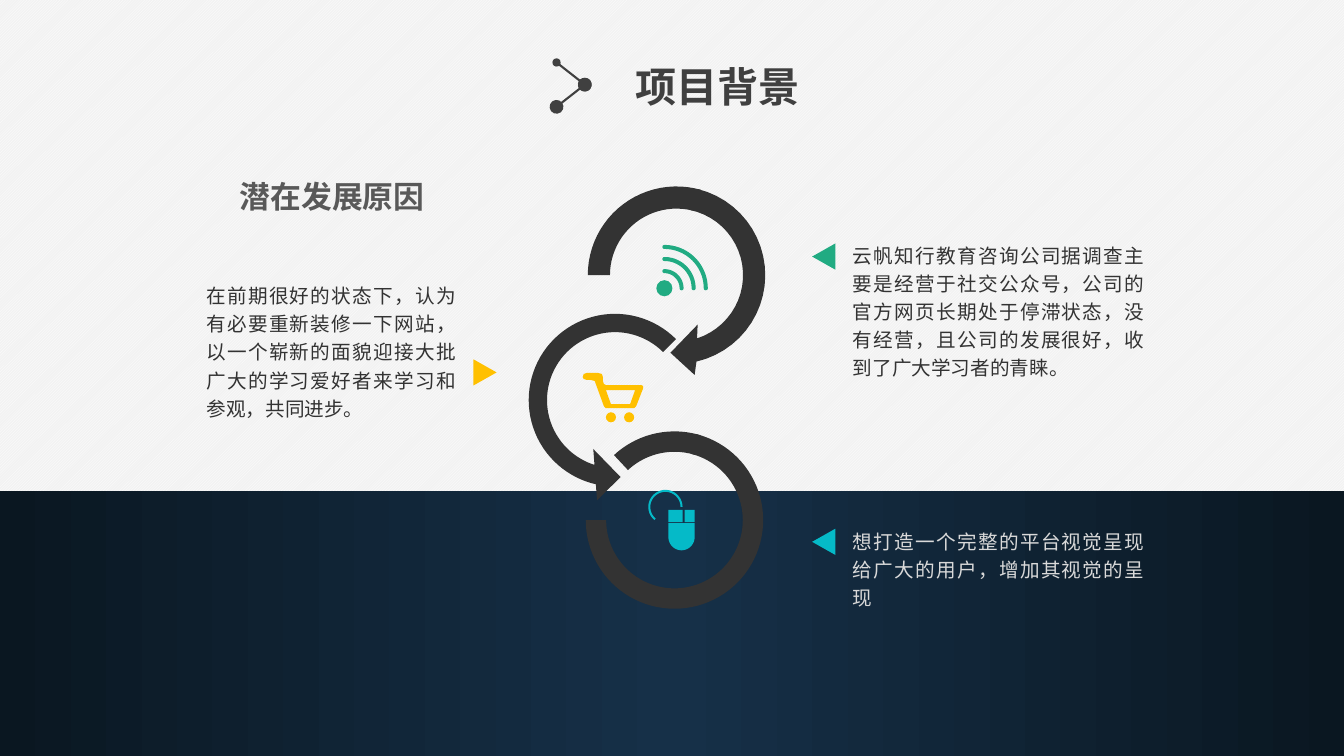
from math import cos, radians, sin

from lxml.etree import SubElement
from pptx import Presentation
from pptx.dml.color import RGBColor
from pptx.enum.dml import MSO_PATTERN
from pptx.enum.lang import MSO_LANGUAGE_ID
from pptx.enum.shapes import MSO_CONNECTOR, MSO_SHAPE
from pptx.enum.text import MSO_ANCHOR, MSO_AUTO_SIZE, PP_ALIGN
from pptx.oxml.ns import qn
from pptx.util import Inches, Pt

# Content
TITLE = "项目背景"
HEAD = "潜在发展原因"
# text, box, text colour, marker left and top, marker turn, marker colour
NOTES = [
    ("云帆知行教育咨询公司据调查主要是经营于社交公众号，公司的官方网页长期处于停滞状态，"
     "没有经营，且公司的发展很好，收到了广大学习者的青睐。",
     (8.36, 2.32, 3.09, 1.51), "body", (8.04, 2.43), 270, "green"),
    ("想打造一个完整的平台视觉呈现给广大的用户，增加其视觉的呈现",
     (8.36, 5.16, 3.09, 0.95), "pale", (8.04, 5.26), 270, "cyan"),
    ("在前期很好的状态下，认为有必要重新装修一下网站，以一个崭新的面貌迎接大批"
     "广大的学习爱好者来学习和参观，共同进步。",
     (1.95, 2.72, 2.67, 1.51), "body", (4.68, 3.58), 90, "gold"),
]
CART = [(6.36, 3.82), (6.01, 3.82), (5.99, 3.81), (5.98, 3.78), (5.98, 3.74),
        (5.97, 3.71), (5.93, 3.7), (5.82, 3.7), (5.79, 3.71), (5.78, 3.74),
        (5.79, 3.76), (5.82, 3.77), (5.86, 3.77), (5.9, 3.78), (5.91, 3.81),
        (5.99, 4.03), (6.01, 4.05), (6.29, 4.05), (6.31, 4.03), (6.38, 3.85),
        (6.38, 3.83)]
BASKET = [(6.25, 4.01), (6.06, 4.01), (6.01, 3.87), (6.3, 3.87)]

# Theme
THEME = {
    "color": {"title": "404040", "head": "595959", "body": "333333", "pale": "D9D9D9",
              "ring": "333333", "green": "21AB82", "gold": "FFC000", "cyan": "05BAC8",
              "navy": "163048", "night": "0A1721", "white": "FFFFFF", "page": "F2F2F2"},
    "size": {"title": 29.4, "head": 22, "body": 14},
    "font": {"title": "Arial", "body": "Noto Sans CJK SC"},
}
WIDE, HIGH = 13.33, 7.5
MID, EDGE = 6.65, 0.65 * HIGH
LAP = 0.02  # overlap that closes the seam between the two bands


def tint(name):
    return RGBColor.from_string(THEME["color"][name])


def paint(shape, name):
    shape.shadow.inherit = False
    shape.fill.solid()
    shape.fill.fore_color.rgb = tint(name)
    shape.line.fill.background()
    return shape


def preset(kind, box, name):
    return paint(shapes.add_shape(kind, *map(Inches, box)), name)


def dot(x, y, r, name):
    preset(MSO_SHAPE.OVAL, (x - r, y - r, 2 * r, 2 * r), name)


def arc(x, y, r, start, end, steps=24):
    turns = [radians(start + (end - start) * i / steps) for i in range(steps + 1)]
    return [(x + r * cos(t), y + r * sin(t)) for t in turns]


def outline(name, *loops):
    loops = [[(Inches(x), Inches(y)) for x, y in loop] for loop in loops]
    form = shapes.build_freeform(*loops[0][0], scale=1.0)
    for i, loop in enumerate(loops):
        if i:
            form.move_to(*loop[0])
        form.add_line_segments(loop[1:], close=True)
    paint(form.convert_to_shape(), name)


def write(shape, text, box, size, color, font, bold=False, wrap=False, space=None):
    shape.left, shape.top, shape.width, shape.height = map(Inches, box)
    frame = shape.text_frame
    frame.text = text
    frame.word_wrap = wrap
    frame.auto_size = MSO_AUTO_SIZE.SHAPE_TO_FIT_TEXT
    frame.vertical_anchor = MSO_ANCHOR.TOP
    para = frame.paragraphs[0]
    para.alignment = PP_ALIGN.JUSTIFY
    if space:
        para.line_spacing = space
    face = para.runs[0].font
    face.size, face.bold = Pt(THEME["size"][size]), bold
    face.color.rgb = tint(color)
    face.name = THEME["font"][font]
    face.language_id = MSO_LANGUAGE_ID.SIMPLIFIED_CHINESE
    SubElement(para.runs[0].font._element, qn("a:ea"), typeface=face.name)


def link(start, end, head, tail):
    line = shapes.add_connector(MSO_CONNECTOR.STRAIGHT, *map(Inches, start + end))
    line.line.color.rgb = tint("title")
    line.line.width = Pt(1.5)
    stroke = line.line._get_or_add_ln()
    for tag, size in (("a:headEnd", head), ("a:tailEnd", tail)):
        SubElement(stroke, qn(tag), type="oval", w=size, len=size)
    SubElement(line._element.spPr, qn("a:effectLst"))


deck = Presentation()
deck.slide_width, deck.slide_height = Inches(WIDE), Inches(HIGH)
slide = deck.slides.add_slide(deck.slide_layouts[5])
shapes = slide.shapes

# Striped page and dark band
back = slide.background.fill
back.patterned()
back.pattern = MSO_PATTERN.LIGHT_UPWARD_DIAGONAL
back.fore_color.rgb, back.back_color.rgb = tint("white"), tint("page")
for left, width, turn in ((0, MID + LAP, 180), (MID, WIDE - MID, 0)):
    band = preset(MSO_SHAPE.RECTANGLE, (left, EDGE, width, HIGH - EDGE), "navy")
    band.fill.gradient()
    band.fill.gradient_angle = 0
    for stop, name, spot in zip(band.fill.gradient_stops, ("navy", "night"), (0, 1)):
        stop.color.rgb, stop.position = tint(name), spot
    band.rotation = turn

# Title with its linked dots
write(shapes.title, TITLE, (6.2, 0.56, 2, 0.59), "title", "title", "title", bold=True)
link((5.52, 0.62), (5.8, 0.84), "med", "lg")
link((5.8, 0.84), (5.52, 1.06), "lg", "lg")

# Heading and notes with markers
box = (2.28, 1.71, 2.03, 0.47)
write(shapes.add_textbox(*map(Inches, box)), HEAD, box, "head", "head", "body", bold=True)
for text, box, color, spot, turn, mark in NOTES:
    preset(MSO_SHAPE.ISOSCELES_TRIANGLE, spot + (0.26, 0.23), mark).rotation = turn
    write(shapes.add_textbox(*map(Inches, box)), text, box, "body", color, "body",
          wrap=True, space=1.2)

# Middle and lower rings
LOW = (5.81, 4.28, 1.76, 1.76)
for kind, box, tweaks in (
        (MSO_SHAPE.LEFT_CIRCULAR_ARROW, (5.08, 2.95, 2.04, 2.04),
         (0.089, 11.423, 62.936, 189, 0.125)),
        (MSO_SHAPE.BLOCK_ARC, LOW, (136.244, 172.282, 0.115)),
        (MSO_SHAPE.BLOCK_ARC, LOW, (170.851, 108, 0.115))):
    ring = preset(kind, box, "ring")
    for i, value in enumerate(tweaks):
        ring.adjustments[i] = value

# Upper ring: left arc, then right arc with its arrowhead, slightly overlapping
hub = (6.71, 2.73)
outline("ring", arc(*hub, 0.88, 180, 286) + arc(*hub, 0.66, 284, 180))
outline("ring", arc(*hub, 0.88, 284, 437) + [(6.89, 3.72), (6.65, 3.5), (6.92, 3.22)]
        + arc(*hub, 0.66, 432, 282))

# Signal icon: dot and three round-ended waves
x, y, cap = 6.59, 2.86, 0.02
dot(x, y, 0.08, "green")
for r in (0.17, 0.29, 0.41):
    outline("green", arc(x, y, r + cap, 270, 360) + arc(x + r, y, cap, 0, 180, 8)
            + arc(x, y, r - cap, 360, 270) + arc(x, y - r, cap, 90, 270, 8))

# Cart icon
for x in (6.06, 6.24):
    dot(x, 4.14, 0.05, "gold")
outline("gold", CART, BASKET)

# Mouse icon: two buttons, body and cable
keys = [[(l, 5.06), (r, 5.06), (r, 5.18), (l, 5.18)] for l, r in ((6.63, 6.77), (6.79, 6.89))]
outline("cyan", *keys, [(6.63, 5.19), (6.89, 5.19)] + arc(6.76, 5.33, 0.13, 0, 180))
outline("cyan", arc(6.6, 5.03, 0.17, 130, 360) + arc(6.6, 5.03, 0.15, 360, 130))

deck.save("out.pptx")
